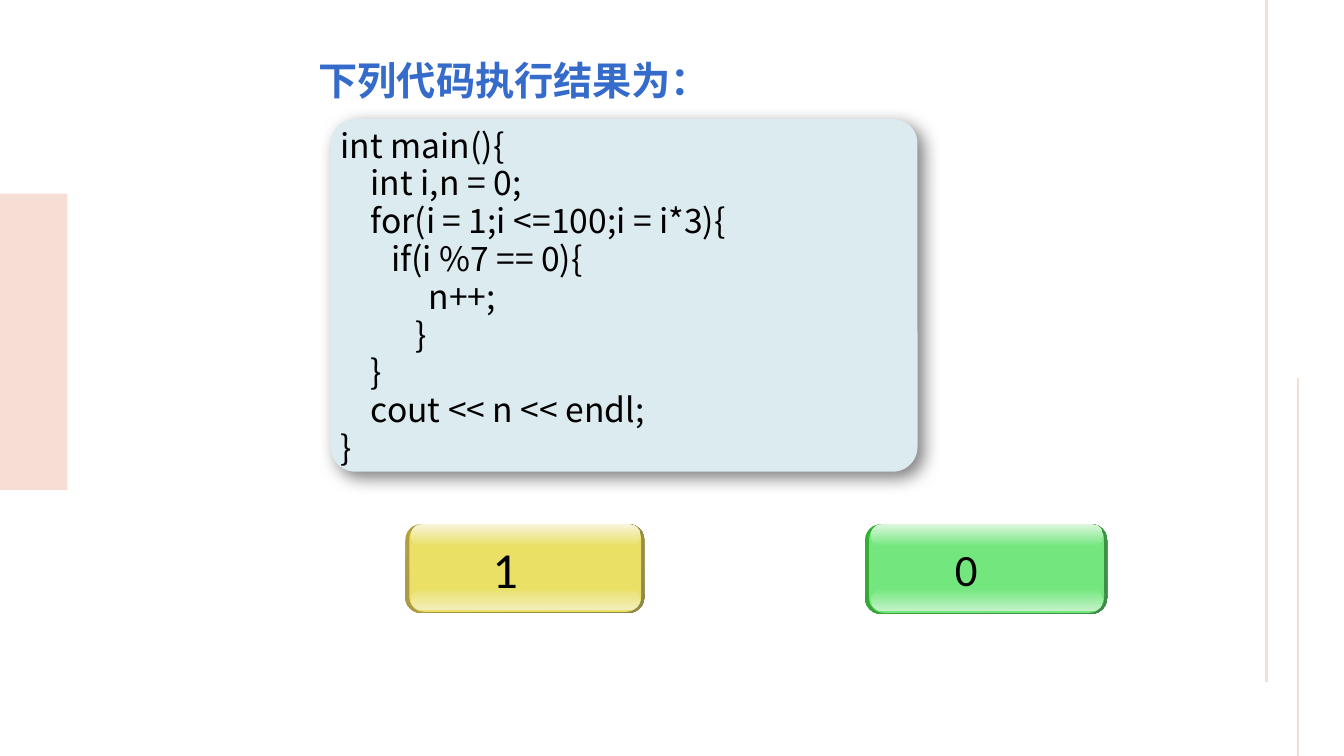
from lxml.etree import SubElement
from pptx import Presentation
from pptx.dml.color import RGBColor
from pptx.enum.shapes import MSO_CONNECTOR as CONNECTOR, MSO_SHAPE as SHAPE
from pptx.enum.text import MSO_ANCHOR as ANCHOR, PP_ALIGN as ALIGN
from pptx.oxml.ns import qn
from pptx.util import Inches, Pt

CJK_FONT, DIGIT_FONT = "Noto Sans CJK SC", "Calibri"
BLACK = RGBColor(0x00, 0x00, 0x00)
TITLE_BLUE = RGBColor(0x35, 0x6B, 0xCA)
BLUSH = RGBColor(0xF6, 0xDE, 0xD4)
PANEL_BLUE = RGBColor(0xDC, 0xEB, 0xEF)

# Rim start, rim end, face, upper gloss, lower gloss
YELLOW = [RGBColor.from_string(c) for c in
          ("B59F43", "8F8849", "E9E065", "F8F5DB", "F3EEBB")]
GREEN = [RGBColor.from_string(c) for c in
         ("34B034", "3F8B4A", "73E77E", "DDF7DF", "C3F2C7")]

CODE = """int main(){
    int i,n = 0;
    for(i = 1;i <=100;i = i*3){
\tif(i %7 == 0){
\t     n++;
          }
    }
    cout << n << endl;
}"""


def write(frame, text, *, size, font=CJK_FONT, color=BLACK, bold=False,
          align=ALIGN.LEFT, anchor=ANCHOR.TOP, spacing=None, wrap=True):
    frame.word_wrap = wrap
    frame.vertical_anchor = anchor
    frame.text = text
    for paragraph in frame.paragraphs:
        paragraph.alignment = align
        if spacing:
            paragraph.line_spacing = Pt(spacing)
        for run in paragraph.runs:
            run.font.size, run.font.bold = Pt(size), bold
            run.font.color.rgb = color
            run.font.name = font
            SubElement(run.font._element, qn("a:ea"), typeface=font)


def add_block(slide, left, top, width, height, *colors, corner=None, angle=90):
    """Add a borderless block; two colours make a gradient, angle clockwise."""
    kind = SHAPE.RECTANGLE if corner is None else SHAPE.ROUNDED_RECTANGLE
    block = slide.shapes.add_shape(kind, Inches(left), Inches(top),
                                   Inches(width), Inches(height))
    if corner is not None:
        block.adjustments[0] = corner
    if len(colors) == 1:
        block.fill.solid()
        block.fill.fore_color.rgb = colors[0]
    else:
        block.fill.gradient()
        block.fill.gradient_angle = 360 - angle
        for stop, color, position in zip(block.fill.gradient_stops, colors, (0, 1)):
            stop.color.rgb, stop.position = color, position
    block.line.fill.background()
    block.shadow.inherit = False
    return block


def add_rule(slide, x, top, bottom, weight):
    rule = slide.shapes.add_connector(CONNECTOR.STRAIGHT, Inches(x), Inches(bottom),
                                      Inches(x), Inches(top))
    rule.line.color.rgb = BLUSH
    rule.line.width = Pt(weight)
    SubElement(rule._element.spPr, qn("a:effectLst"))


def add_drop_shadow(block):
    effects = block._element.spPr.find(qn("a:effectLst"))
    shadow = SubElement(effects, qn("a:outerShdw"), blurRad=str(Pt(12)),
                        dist=str(Pt(6)), dir="2700000", algn="tl", rotWithShape="0")
    tint = SubElement(shadow, qn("a:srgbClr"), val="000000")
    SubElement(tint, qn("a:alpha"), val="50000")


def add_answer(slide, left, width, height, digit, size, palette):
    rim_start, rim_end, face_color, upper, lower = palette
    top = 5.2
    add_block(slide, left, top, width, height, rim_start, rim_end,
              corner=0.175, angle=45)
    face = add_block(slide, left + 0.04, top, width - 0.07, height - 0.01,
                     face_color, corner=0.167)
    gloss_left, gloss_width = left + 0.06, width - 0.1
    add_block(slide, gloss_left, top + height - 0.25, gloss_width, 0.22,
              face_color, lower, corner=0.5)
    add_block(slide, gloss_left, top, gloss_width, 0.22,
              upper, face_color, corner=0.5)
    # The digit sits a little left of centre
    face.text_frame.margin_left, face.text_frame.margin_right = 0, Inches(0.4)
    write(face.text_frame, digit, size=size, font=DIGIT_FONT,
          align=ALIGN.CENTER, anchor=ANCHOR.MIDDLE)


def main():
    prs = Presentation()
    prs.slide_width, prs.slide_height = Inches(13.33), Inches(7.5)
    slide = prs.slides.add_slide(prs.slide_layouts[5])

    # Side decoration
    add_block(slide, 0, 1.92, 0.67, 2.94, BLUSH)
    add_rule(slide, 12.56, 0, 6.77, 2.25)
    add_rule(slide, 12.87, 3.75, 7.5, 1.5)

    # Question
    title = slide.shapes.title
    title.left, title.top = Inches(3.06), Inches(0.51)
    title.width, title.height = Inches(3.98), Inches(0.57)
    write(title.text_frame, "下列代码执行结果为：", size=28, color=TITLE_BLUE,
          bold=True, anchor=ANCHOR.MIDDLE, wrap=False)

    # Code panel
    panel = add_block(slide, 3.28, 1.18, 5.82, 3.5, PANEL_BLUE, corner=0.07)
    add_drop_shadow(panel)
    code = slide.shapes.add_textbox(Inches(3.28), Inches(1.21),
                                    Inches(5.08), Inches(3.51))
    write(code.text_frame, CODE, size=24, spacing=27)

    # Answers
    add_answer(slide, 8.58, 2.4, 0.89, "0", 32, GREEN)
    add_answer(slide, 4.02, 2.37, 0.88, "1", 36, YELLOW)

    prs.save("out.pptx")


if __name__ == "__main__":
    main()
